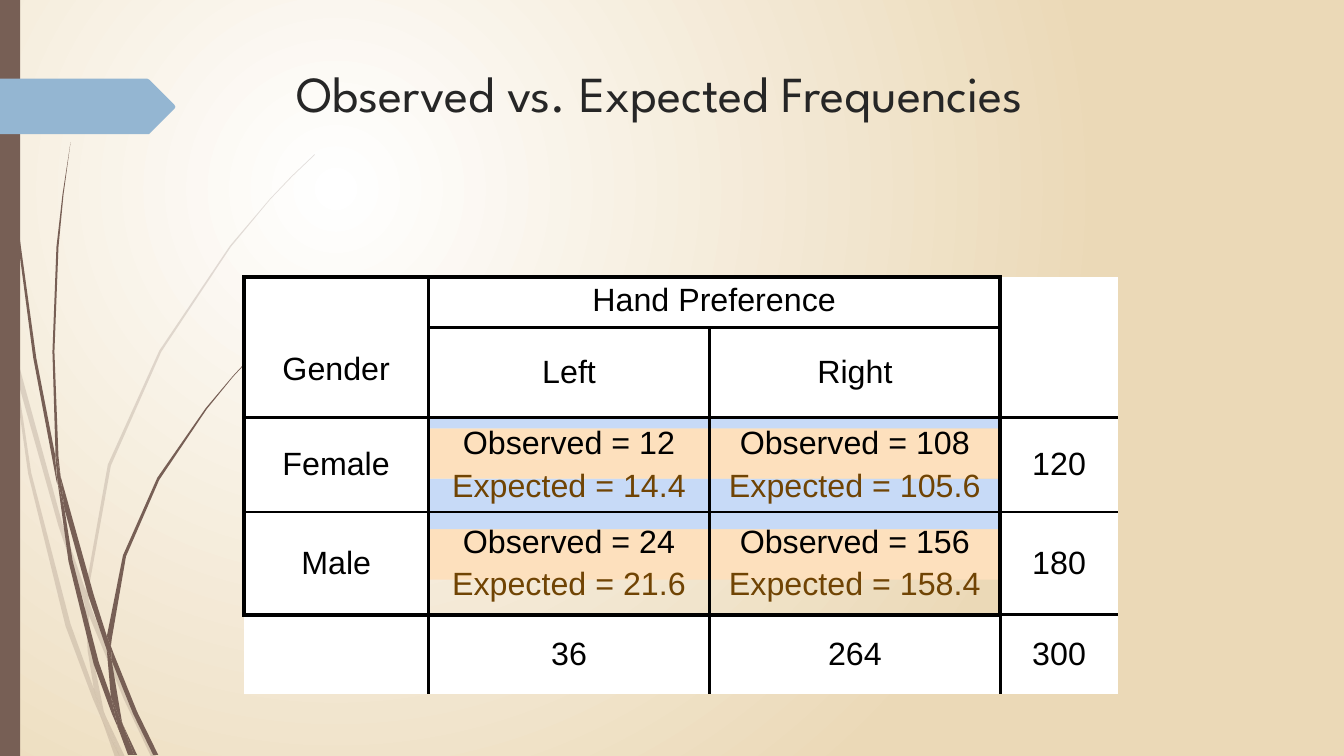
from lxml import etree
from pptx import Presentation
from pptx import util as u
from pptx.dml.color import RGBColor
from pptx.enum import shapes, text
from pptx.oxml.ns import qn

COLS, ROWS = 1333, 750
CELL = u.Inches(.01)
COLORS = {
    "glow": "FFFFFF", "sand": "EBD9B7", "brown": "775F55", "blue": "94B6D2",
    "peach": "FDE0BD", "sky": "C7DAF7", "title": "262626",
    "ink": "000000", "rust": "704404", "paper": "FFFFFF",
}
LIGHT_BLADES = [
    [(11, 350), (9, 322), (0, 282), (0, 299), (10, 344)],
    [(58, 522), (84, 599), (85, 586), (62, 520), (14, 345), (17, 376)],
    [(92, 607), (88, 596), (88, 610), (123, 694), (150, 751), (155, 751), (127, 692)],
    [(119, 751), (124, 751), (105, 711)],
    [(93, 683), (70, 619), (31, 469), (17, 376), (11, 350), (28, 470), (65, 621),
     (92, 693), (101, 714), (99, 707)],
    [(84, 599), (87, 646), (93, 683), (96, 692), (105, 711), (103, 706), (91, 646),
     (88, 610), (88, 608)],
    [(88, 584), (110, 462), (160, 349), (229, 245), (268, 198), (290, 175), (312, 154),
     (312, 153), (289, 175), (268, 197), (228, 244), (158, 348), (107, 461),
     (85, 584), (85, 586), (88, 596)],
    [(101, 714), (114, 751), (119, 751)],
    [(88, 608), (88, 610), (88, 596), (85, 586), (84, 599)],
    [(96, 692), (93, 683), (99, 707), (101, 714), (119, 751), (105, 711)],
]
DARK_BLADES = [
    [(7, 110), (17, 233), (33, 355), (56, 477), (57, 481), (55, 457), (55, 453),
     (36, 355), (19, 232), (8, 109), (5, 48), (4, 0), (3, 0), (4, 48)],
    [(88, 592), (106, 645), (106, 633), (106, 631), (93, 590), (60, 472), (64, 505)],
    [(113, 649), (110, 641), (111, 656), (132, 708), (152, 749), (157, 749), (136, 706)],
    [(110, 691), (98, 657), (72, 556), (64, 505), (57, 477), (68, 557), (93, 659),
     (111, 708), (117, 722), (116, 717)],
    [(60, 472), (58, 453), (54, 349), (58, 245), (63, 193), (70, 141), (62, 193),
     (56, 245), (52, 349), (55, 449)],
    [(133, 749), (136, 749), (122, 719)],
    [(57, 477), (64, 505), (60, 472), (55, 449), (55, 453)],
    [(111, 633), (125, 552), (158, 476), (205, 406), (231, 374), (245, 359), (261, 344),
     (260, 344), (245, 358), (231, 373), (204, 405), (156, 474), (122, 551),
     (106, 631), (110, 641)],
    [(117, 722), (127, 749), (131, 749)],
    [(106, 645), (110, 691), (116, 706), (122, 719), (121, 716), (111, 656), (109, 651)],
    [(106, 645), (109, 651), (111, 656), (110, 641), (106, 631), (106, 633)],
    [(116, 706), (110, 691), (116, 717), (117, 722), (130, 749), (133, 749), (122, 719)],
]
ARROW = [(0, 78), (146, 78), (148, 79), (173, 104), (174, 106), (173, 108),
         (148, 133), (146, 133), (0, 133)]
STRIPS = [(525, "peach"), (425, "peach"), (475, "sky"), (375, "sky")]
COL_W = [183, 279, 288, 117]
ROW_H = [50, 89, 94, 102, 79]
TABLE = [
    ["Gender", "Hand Preference", "", ""],
    ["", "Left", "Right", ""],
    ["Female", ("12", "14.4"), ("108", "105.6"), "120"],
    ["Male", ("24", "21.6"), ("156", "158.4"), "180"],
    ["", "36", "264", "300"],
]
THICK, THIN = 3, 2.25


def grid(*cells):
    return [u.Emu(c * CELL) for c in cells]


def rgb(name):
    return RGBColor.from_string(COLORS[name])


def paint(sp, color, alpha=None):
    sp.shadow.inherit = False
    sp.fill.solid()
    sp.fill.fore_color.rgb = rgb(color)
    sp.line.fill.background()
    if alpha:
        clr = sp._element.spPr.find(qn("a:solidFill"))[0]
        etree.SubElement(clr, qn("a:alpha"), val=str(alpha * 1000))


def block(s, box, color):
    paint(s.shapes.add_shape(shapes.MSO_SHAPE.RECTANGLE, *grid(*box)), color)


def polygon(parent, points, color, alpha=None):
    fb = parent.shapes.build_freeform(*points[0], scale=CELL)
    fb.add_line_segments(points[1:], close=True)
    paint(fb.convert_to_shape(), color, alpha)


def grass(s, blades, alpha=None):
    tuft = s.shapes.add_group_shape()
    for points in blades:
        polygon(tuft, points, "brown", alpha)


def background(s):
    fill = s.background.fill
    fill.gradient()
    for stop, color in zip(fill.gradient_stops, ("glow", "sand")):
        stop.color.rgb = rgb(color)
    grad = next(s._element.iter(qn("a:gradFill")))
    shade = etree.Element(qn("a:path"), path="circle")
    etree.SubElement(shade, qn("a:fillToRect"), l="50000", t="50000",
                     r="100000", b="100000")
    grad.replace(grad.find(qn("a:lin")), shade)


def write(p, content, size, font="Arial", color="ink", align=None, before=0, spacing=None):
    p.alignment = align
    p.space_before = u.Pt(before)
    p.line_spacing = spacing
    r = p.add_run()
    r.text = content
    r.font.size = u.Pt(size)
    r.font.name = font
    r.font.color.rgb = rgb(color)


def title(s, content):
    tf = s.shapes.add_textbox(*grid(284, 68, 975, 140)).text_frame
    tf.word_wrap = True
    write(tf.paragraphs[0], content, 36, font="League Spartan", color="title", spacing=.8)


def side_edge(row, x):
    if x == 4 or (x == 0 and row == 4) or (x == 2 and row == 0):
        return 0
    return THICK if x in (0, 3) and row < 4 else THIN


def level_edge(col, y):
    if y == 5 or (col == 3 and y == 0) or (col in (0, 3) and y == 1):
        return 0
    return THICK if y in (0, 4) and col < 3 else THIN


def borders(cell, row, col):
    widths = {"L": side_edge(row, col), "R": side_edge(row, col + 1),
              "T": level_edge(col, row), "B": level_edge(col, row + 1)}
    tcPr = cell._tc.get_or_add_tcPr()
    for side, width in widths.items():
        ln = etree.SubElement(tcPr, qn(f"a:ln{side}"), w=str(u.Pt(width)))
        if width:
            fill = etree.SubElement(ln, qn("a:solidFill"))
            etree.SubElement(fill, qn("a:srgbClr"), val=COLORS["ink"])
        else:
            etree.SubElement(ln, qn("a:noFill"))


def fill_cell(cell, row, col, value):
    borders(cell, row, col)
    cell.vertical_anchor = text.MSO_ANCHOR.MIDDLE
    p = cell.text_frame.paragraphs[0]
    center = text.PP_ALIGN.CENTER
    if isinstance(value, tuple):
        cell.fill.background()
        write(p, f"Observed = {value[0]}", 23, align=center)
        write(cell.text_frame.add_paragraph(), f"Expected = {value[1]}", 23,
              color="rust", align=center, before=4.6)
        return
    cell.fill.solid()
    cell.fill.fore_color.rgb = rgb("paper")
    if value:
        write(p, value, 23, align=center)


def frequency_table(s):
    box = grid(242, 275, sum(COL_W), sum(ROW_H))
    tbl = s.shapes.add_table(len(ROW_H), len(COL_W), *box).table
    tbl.first_row = tbl.horz_banding = False
    for col, w in zip(tbl.columns, grid(*COL_W)):
        col.width = w
    for row, h in zip(tbl.rows, grid(*ROW_H)):
        row.height = h
    for i, values in enumerate(TABLE):
        for j, value in enumerate(values):
            fill_cell(tbl.cell(i, j), i, j, value)
    for first, last in (((0, 0), (1, 0)), ((0, 1), (0, 2)), ((0, 3), (1, 3))):
        tbl.cell(*first).merge(tbl.cell(*last))
    gender = tbl.cell(0, 0)
    gender.vertical_anchor = text.MSO_ANCHOR.BOTTOM
    gender.margin_bottom = u.Inches(.3)
    tbl.cell(0, 1).vertical_anchor = text.MSO_ANCHOR.TOP


def main():
    prs = Presentation()
    prs.slide_width, prs.slide_height = grid(COLS, ROWS)
    s = prs.slides.add_slide(prs.slide_layouts[6])
    background(s)
    grass(s, LIGHT_BLADES, alpha=20)
    grass(s, DARK_BLADES)
    block(s, (0, 0, 20, ROWS), "brown")
    polygon(s, ARROW, "blue")
    for top, color in STRIPS:
        block(s, (425, top, 567, 50), color)
    title(s, "Observed vs. Expected Frequencies")
    frequency_table(s)
    prs.save("out.pptx")


if __name__ == "__main__":
    main()
